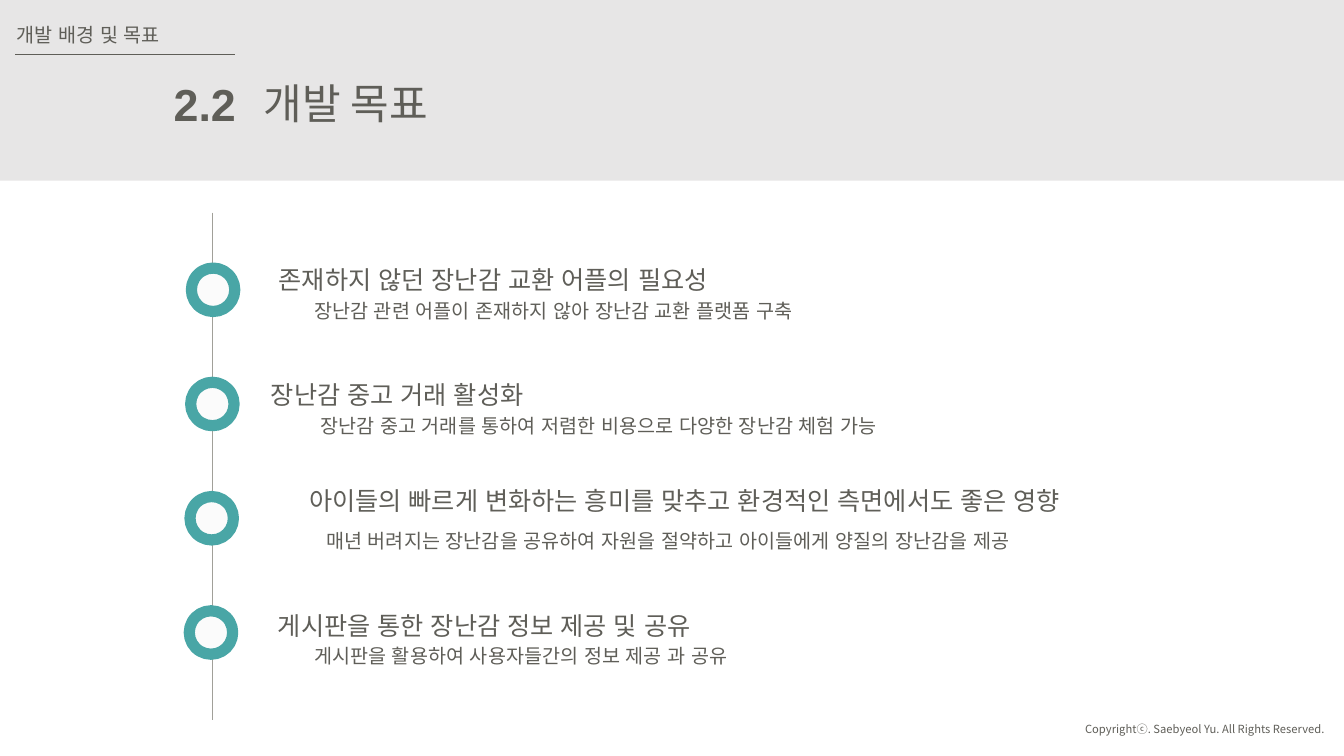
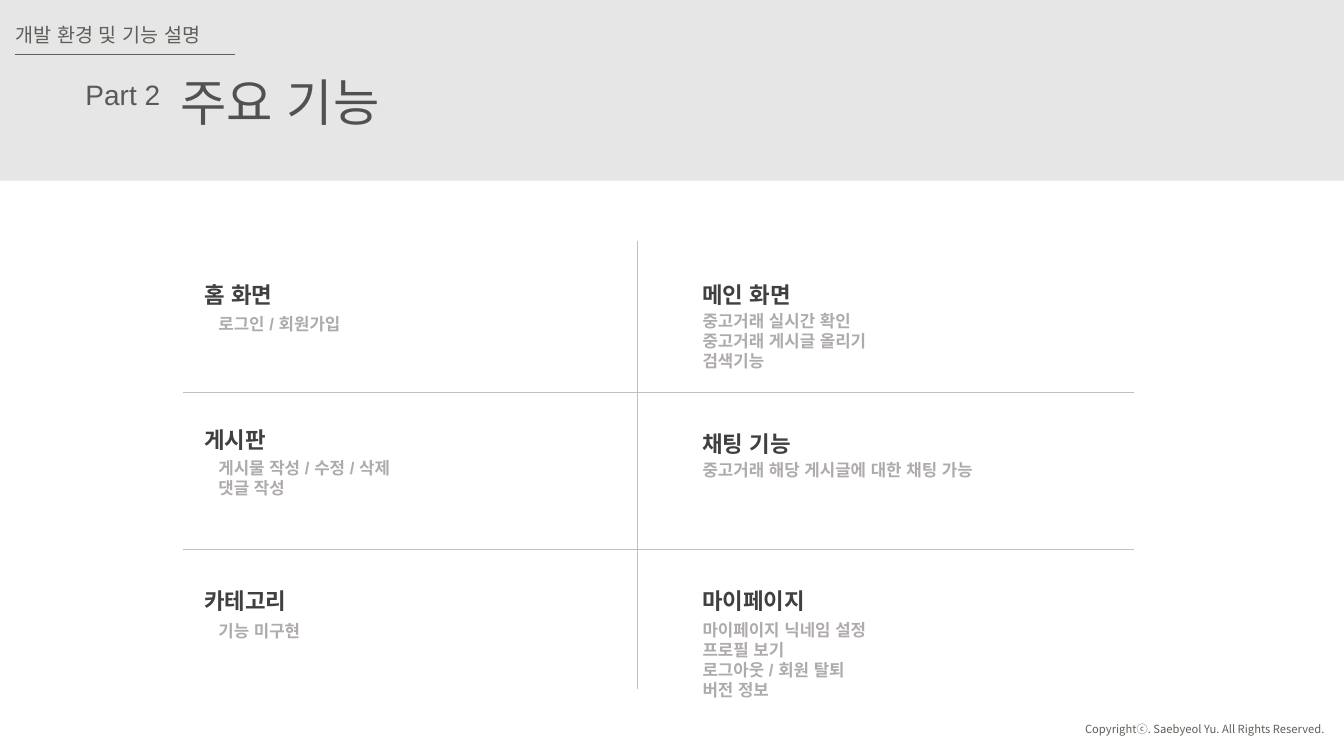
import dataclasses

import pptx
import pptx.dml.color
import pptx.enum.shapes
import pptx.enum.text
import pptx.oxml.ns
import pptx.util
from lxml import etree

Pt = pptx.util.Pt
Align = pptx.enum.text.PP_ALIGN


@dataclasses.dataclass(frozen=True)
class Theme:
    # Colours
    band: str = "E7E6E6"
    text: str = "5F5E58"
    part_title: str = "515151"
    part_label: str = "595959"
    heading: str = "404040"
    muted: str = "AFABAB"
    grid: str = "BFBFBF"
    timeline: str = "A1A099"
    ring: str = "49A6A6"
    ring_center: str = "FBFBFB"
    # Type sizes
    copyright_size: int = 8
    feature_detail_size: int = 12
    detail_size: int = 14
    feature_size: int = 16
    goal_size: int = 18
    part_size: int = 20
    title_size: int = 30
    number_size: int = 32
    part_title_size: int = 36
    # Fonts and line heights
    font: str = "Arial"
    korean_font: str = "Noto Sans CJK KR"
    line_height: float = 1.2
    korean_line_height: float = 1.3


THEME = Theme()
SLIDE_WIDTH, SLIDE_HEIGHT = 960.48, 540

COPYRIGHT = "Copyrightⓒ. Saebyeol Yu. All Rights Reserved."

# Goals: heading, its left and width, gap above the detail, detail, its left and width
GOALS = [
    ("존재하지 않던 장난감 교환 어플의 필요성", 192.2, 340, 24.5,
     "장난감 관련 어플이 존재하지 않아 장난감 교환 플랫폼 구축", 217.4, 375),
    ("장난감 중고 거래 활성화", 186.5, 215, 24.5,
     "장난감 중고 거래를 통하여 저렴한 비용으로 다양한 장난감 체험 가능", 221.8, 430),
    ("아이들의 빠르게 변화하는 흥미를 맞추고 환경적인 측면에서도 좋은 영향", 213.8, 575, 31,
     "매년 버려지는 장난감을 공유하여 자원을 절약하고 아이들에게 양질의 장난감을 제공", 226, 520),
    ("게시판을 통한 장난감 정보 제공 및 공유", 191.5, 330, 24,
     "게시판을 활용하여 사용자들간의 정보 제공 과 공유", 217.4, 330),
]

# Features by column: heading, its top, details, their top
FEATURE_COLUMNS = [
    {"heading_left": 139, "detail_left": 149, "features": [
        ("홈 화면", 197.3, ["로그인 / 회원가입"], 220.3),
        ("게시판", 300.5, ["게시물 작성 / 수정 / 삭제", "댓글 작성"], 323.3),
        ("카테고리", 415.5, ["기능 미구현"], 439.5),
    ]},
    {"heading_left": 495, "detail_left": 495, "features": [
        ("메인 화면", 197.3,
         ["중고거래 실시간 확인", "중고거래 게시글 올리기", "검색기능"], 218.2),
        ("채팅 기능", 303.8, ["중고거래 해당 게시글에 대한 채팅 가능"], 324.7),
        ("마이페이지", 415.5,
         ["마이페이지 닉네임 설정", "프로필 보기", "로그아웃 / 회원 탈퇴", "버전 정보"], 438.8),
    ]},
]
FEATURE_WIDTH = 316


def rgb(color):
    return pptx.dml.color.RGBColor.from_string(color)


def add_text(slide, text, left, top, width, size, color=THEME.text, font=THEME.font,
             bold=False, align=Align.LEFT, shape=None):
    """Write one line or a list of lines in a new text box or in the given shape."""
    lines = [text] if isinstance(text, str) else text
    ratio = THEME.line_height if font == THEME.font else THEME.korean_line_height
    height = 7.2 + len(lines) * size * ratio
    box = tuple(Pt(value) for value in (left, top, width, height))
    if shape is None:
        shape = slide.shapes.add_textbox(*box)
    else:
        shape.left, shape.top, shape.width, shape.height = box
    frame = shape.text_frame
    frame.word_wrap = True
    frame.auto_size = pptx.enum.text.MSO_AUTO_SIZE.SHAPE_TO_FIT_TEXT
    frame.vertical_anchor = pptx.enum.text.MSO_ANCHOR.TOP
    for index, line in enumerate(lines):
        paragraph = frame.add_paragraph() if index else frame.paragraphs[0]
        paragraph.alignment = align
        paragraph.line_spacing = Pt(size * ratio)
        paragraph.space_before = Pt(0)
        run = paragraph.add_run()
        run.text = line
        run.font.size = Pt(size)
        run.font.bold = bold
        run.font.color.rgb = rgb(color)
        run.font.name = font
        east_asian = etree.SubElement(run.font._element, pptx.oxml.ns.qn("a:ea"))
        east_asian.set("typeface", font)


def add_shape(slide, kind, left, top, width, height, fill, line=None, line_width=0):
    shape = slide.shapes.add_shape(kind, Pt(left), Pt(top), Pt(width), Pt(height))
    shape.shadow.inherit = False
    shape.fill.solid()
    shape.fill.fore_color.rgb = rgb(fill)
    if line:
        shape.line.color.rgb = rgb(line)
        shape.line.width = Pt(line_width)
    else:
        shape.line.fill.background()
    return shape


def add_line(slide, x1, y1, x2, y2, color):
    line = slide.shapes.add_connector(
        pptx.enum.shapes.MSO_CONNECTOR.STRAIGHT, Pt(x1), Pt(y1), Pt(x2), Pt(y2))
    line.line.color.rgb = rgb(color)
    line.line.width = Pt(0.5)
    etree.SubElement(line._element.spPr, pptx.oxml.ns.qn("a:effectLst"))


def start_slide(presentation, section, section_left, title, **title_format):
    """Add a slide with the shared band, section label, title and copyright."""
    slide = presentation.slides.add_slide(presentation.slide_layouts[5])
    band = add_shape(slide, pptx.enum.shapes.MSO_SHAPE.RECTANGLE,
                     0, 0, SLIDE_WIDTH, 129, THEME.band)
    title_shape = slide.shapes.title
    title_shape._element.addprevious(band._element)
    add_text(slide, title, shape=title_shape, **title_format)
    add_line(slide, 10.8, 38.9, 167.8, 38.9, THEME.text)
    add_text(slide, section, section_left, 12.6, 180, THEME.detail_size)
    add_text(slide, COPYRIGHT, 734, 511.4, 220, THEME.copyright_size,
             font=THEME.korean_font, align=Align.RIGHT)
    return slide


def build_goals(presentation):
    slide = start_slide(presentation, "개발 배경 및 목표", 5, "개발 목표",
                        left=181.4, top=48.6, width=160, size=THEME.title_size,
                        font=THEME.korean_font)
    add_text(slide, "2.2", 95.7, 51.1, 80, THEME.number_size, bold=True, align=Align.RIGHT)

    # Timeline with one ring per goal
    add_line(slide, 151.9, 151.9, 151.9, 514, THEME.timeline)
    for index, goal in enumerate(GOALS):
        heading, heading_left, heading_width, gap, detail, detail_left, detail_width = goal
        add_shape(slide, pptx.enum.shapes.MSO_SHAPE.OVAL,
                  136.8 - 0.5 * index, 191.5 + 81.6 * index, 31, 31,
                  THEME.ring_center, THEME.ring, 8)
        detail_top = 209.8 + 82.3 * index
        add_text(slide, heading, heading_left, detail_top - gap, heading_width, THEME.goal_size)
        add_text(slide, detail, detail_left, detail_top, detail_width, THEME.detail_size)


def build_features(presentation):
    slide = start_slide(presentation, "개발 환경 및 기능 설명", 4, "주요 기능",
                        left=121.7, top=47.5, width=180, size=THEME.part_title_size,
                        color=THEME.part_title)
    add_text(slide, "Part 2", 54, 51.8, 80, THEME.part_size, color=THEME.part_label)

    # Grid lines
    add_line(slide, 455.3, 172, 455.3, 492, THEME.grid)
    for y in (280, 392.4):
        add_line(slide, 131, y, 810.7, y, THEME.grid)

    # Feature cells
    for column in FEATURE_COLUMNS:
        for heading, heading_top, details, detail_top in column["features"]:
            add_text(slide, heading, column["heading_left"], heading_top, FEATURE_WIDTH,
                     THEME.feature_size, color=THEME.heading, bold=True,
                     align=Align.JUSTIFY)
            add_text(slide, details, column["detail_left"], detail_top, FEATURE_WIDTH,
                     THEME.feature_detail_size, color=THEME.muted, bold=True,
                     align=Align.JUSTIFY)


def main():
    presentation = pptx.Presentation()
    presentation.slide_width = Pt(SLIDE_WIDTH)
    presentation.slide_height = Pt(SLIDE_HEIGHT)
    build_goals(presentation)
    build_features(presentation)
    presentation.save("out.pptx")


if __name__ == "__main__":
    main()
